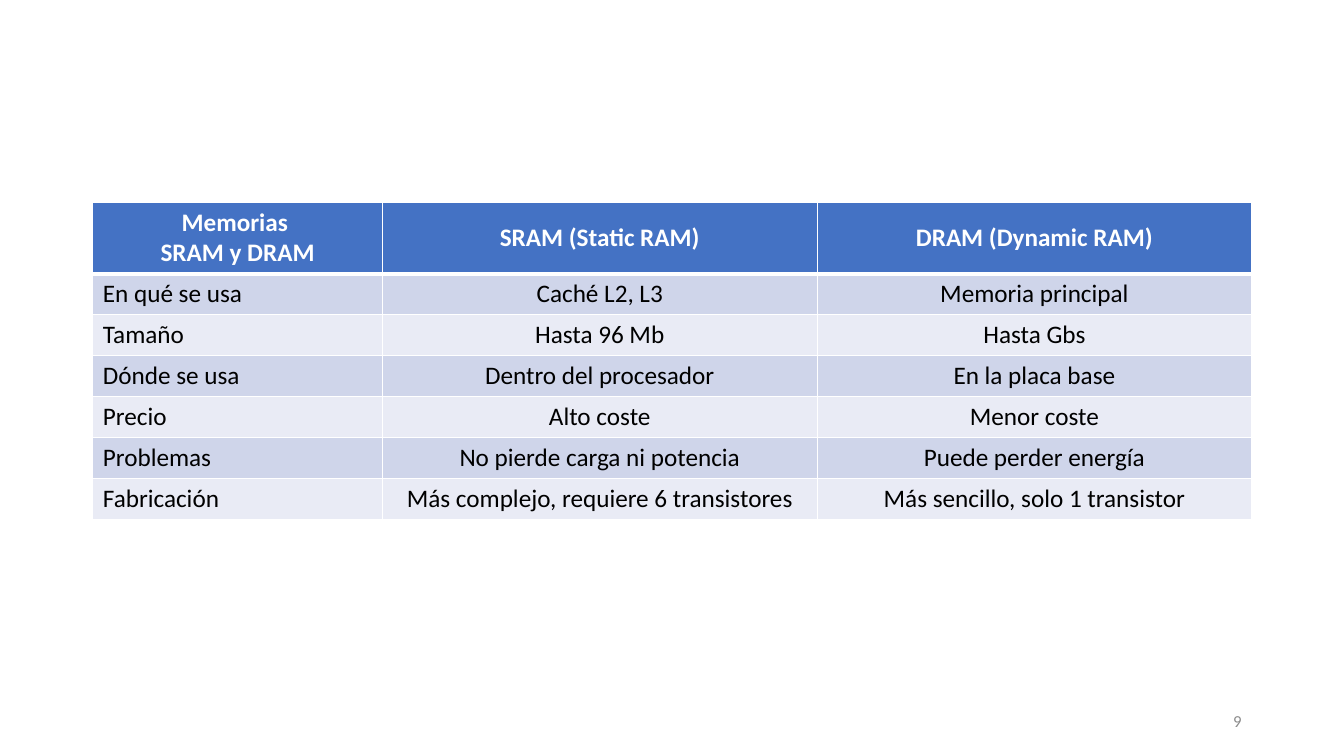
from dataclasses import dataclass

import pptx
import pptx.dml.color
import pptx.enum.text
import pptx.oxml
import pptx.oxml.ns
import pptx.util

Pt = pptx.util.Pt
ALIGN = pptx.enum.text.PP_ALIGN
MIDDLE = pptx.enum.text.MSO_ANCHOR.MIDDLE

FONT = "Calibri"
WHITE, BLACK, GRAY = "FFFFFF", "000000", "8C8C8C"
HEADER_FILL = "4472C4"
BAND_FILLS = ("CFD5EA", "E9EBF5")

COLUMN_WIDTHS = (206.9, 310.5, 310.5)
HEADER_HEIGHT, ROW_HEIGHT = 49.6, 29.3
THIN, THICK = 1, 3

ROWS = (
    ("Memorias \vSRAM y DRAM", "SRAM (Static RAM)", "DRAM (Dynamic RAM)"),
    ("En qué se usa", "Caché L2, L3", "Memoria principal"),
    ("Tamaño", "Hasta 96 Mb", "Hasta Gbs"),
    ("Dónde se usa", "Dentro del procesador", "En la placa base"),
    ("Precio", "Alto coste", "Menor coste"),
    ("Problemas", "No pierde carga ni potencia", "Puede perder energía"),
    ("Fabricación", "Más complejo, requiere 6 transistores",
     "Más sencillo, solo 1 transistor"),
)


@dataclass(frozen=True)
class RowStyle:
    fill: str
    color: str
    bold: bool
    top: int
    bottom: int


def rgb(value: str) -> pptx.dml.color.RGBColor:
    return pptx.dml.color.RGBColor.from_string(value)


def write(frame, text: str, size: int, color: str, align, bold: bool = False) -> None:
    para = frame.paragraphs[0]
    para.text = text
    para.alignment = align
    font = para.font
    font.name, font.size, font.bold = FONT, Pt(size), bold
    font.color.rgb = rgb(color)


def add_border(cell, side: str, width: int) -> None:
    cell._tc.get_or_add_tcPr().append(pptx.oxml.parse_xml(
        f'<a:ln{side} {pptx.oxml.ns.nsdecls("a")} w="{Pt(width)}">'
        f'<a:solidFill><a:srgbClr val="{WHITE}"/></a:solidFill></a:ln{side}>'))


def row_style(index: int) -> RowStyle:
    if index == 0:
        return RowStyle(HEADER_FILL, WHITE, True, THIN, THICK)
    top = THICK if index == 1 else THIN
    return RowStyle(BAND_FILLS[(index - 1) % 2], BLACK, False, top, THIN)


def style_cell(cell, text: str, style: RowStyle, align) -> None:
    cell.vertical_anchor = MIDDLE
    write(cell.text_frame, text, 18, style.color, align, style.bold)
    # Borders come before the fill in the cell properties
    for side, width in (("L", THIN), ("R", THIN), ("T", style.top), ("B", style.bottom)):
        add_border(cell, side, width)
    cell.fill.solid()
    cell.fill.fore_color.rgb = rgb(style.fill)


def add_memory_table(page) -> None:
    height = HEADER_HEIGHT + ROW_HEIGHT * (len(ROWS) - 1)
    table = page.shapes.add_table(len(ROWS), len(COLUMN_WIDTHS), Pt(66.3), Pt(144.3),
                                  Pt(sum(COLUMN_WIDTHS)), Pt(height)).table
    for column, width in zip(table.columns, COLUMN_WIDTHS):
        column.width = Pt(width)
    for index, texts in enumerate(ROWS):
        table.rows[index].height = Pt(ROW_HEIGHT if index else HEADER_HEIGHT)
        for position, text in enumerate(texts):
            is_label = index > 0 and position == 0
            style_cell(table.cell(index, position), text, row_style(index),
                       ALIGN.LEFT if is_label else ALIGN.CENTER)


def add_page_number(page) -> None:
    frame = page.shapes.add_textbox(Pt(678), Pt(500.5), Pt(216), Pt(28.75)).text_frame
    frame.word_wrap = True
    frame.vertical_anchor = MIDDLE
    write(frame, "9", 12, GRAY, ALIGN.RIGHT)


def main() -> None:
    deck = pptx.Presentation()
    deck.slide_width, deck.slide_height = Pt(960), Pt(540)
    page = deck.slides.add_slide(deck.slide_layouts[6])
    add_memory_table(page)
    add_page_number(page)
    deck.save("out.pptx")


if __name__ == "__main__":
    main()
